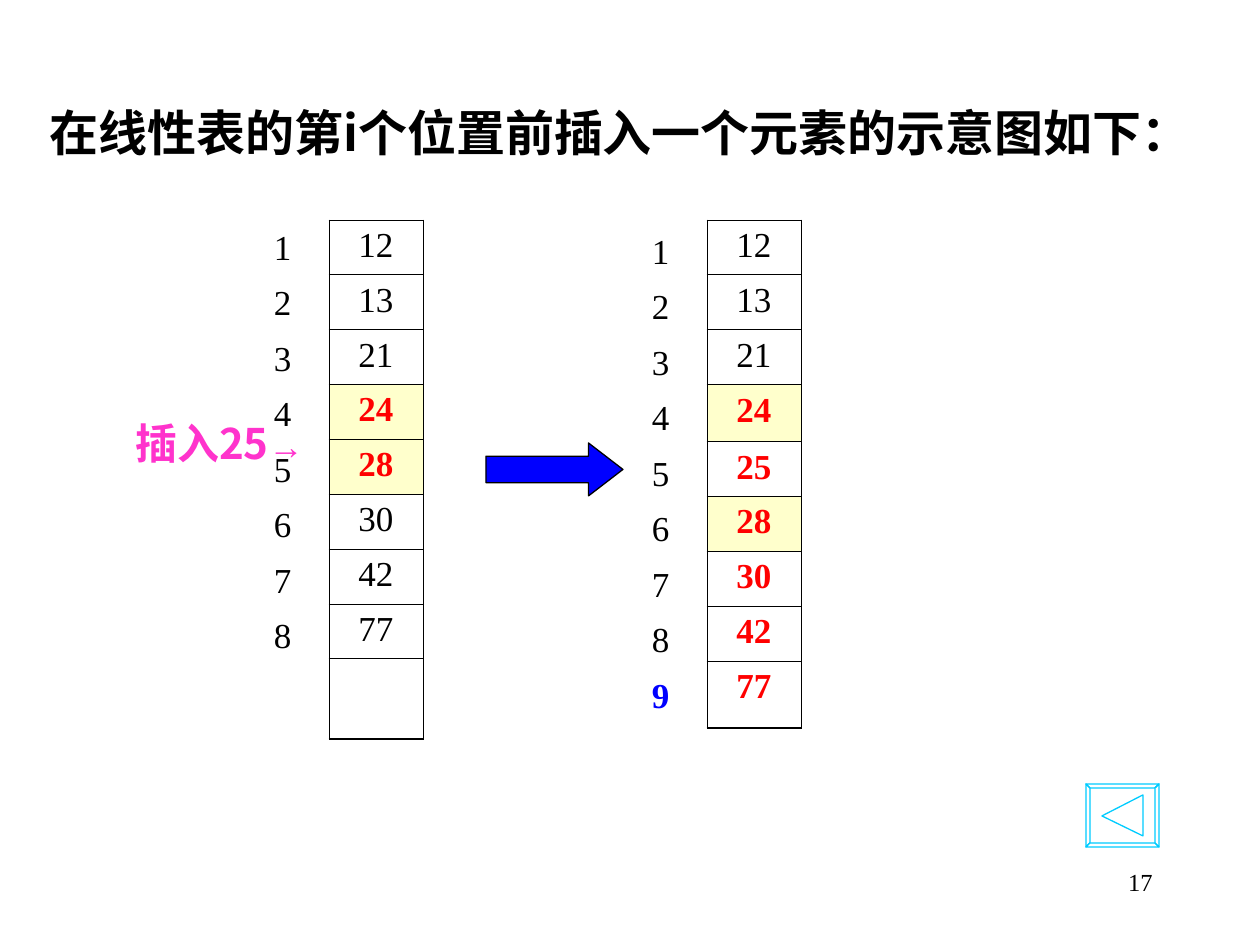
"""Build a slide that shows an element being inserted into a linear list."""
from dataclasses import dataclass

from lxml import etree
from pptx import Presentation
from pptx.dml.color import RGBColor
from pptx.enum.shapes import MSO_SHAPE
from pptx.enum.text import MSO_ANCHOR, PP_ALIGN
from pptx.oxml.ns import qn
from pptx.util import Pt

RIGHT_ARROW = MSO_SHAPE.RIGHT_ARROW
TOP = MSO_ANCHOR.TOP
CENTER, RIGHT = PP_ALIGN.CENTER, PP_ALIGN.RIGHT
EMU_PER_PX = 914400 / 126
PLAIN_TABLE = "{2D5ABB26-0587-4C30-8999-92F81FD0307C}"


@dataclass(frozen=True)
class Theme:
    """Colours, fonts and type sizes."""
    black: str = "000000"
    white: str = "FFFFFF"
    red: str = "FF0000"
    blue: str = "0000FF"
    pink: str = "FF33CC"
    cyan: str = "00CCFF"
    yellow: str = "FFFFCC"
    serif: str = "Times New Roman"
    cjk: str = "Noto Sans CJK SC"
    symbol: str = "Arial"
    title: int = 28
    label: int = 24
    body: int = 20
    number: int = 14
    thin: float = 0.45
    thick: float = 1.08
    outline: float = 0.75


@dataclass(frozen=True)
class Column:
    """A one-column table; marked values are bold, shaded ones have a tint."""
    x: int
    y: int
    width: int
    heights: tuple[int, ...]
    values: tuple[str, ...]
    accent: str
    marked: tuple[str, ...] = ()
    shaded: tuple[str, ...] = ()
    ruled: bool = False


T = Theme()


def px(n: int) -> int:
    """Turn px into EMU."""
    return round(n * EMU_PER_PX)


def rgb(color: str) -> RGBColor:
    """Turn a hex string into a colour."""
    return RGBColor.from_string(color)


def spread(total: int, n: int) -> tuple[int, ...]:
    """Split a length into n nearly equal whole parts."""
    return tuple(total * (i + 1) // n - total * i // n for i in range(n))


def style(font, name: str, size: int, color: str, bold: bool = False) -> None:
    """Format a font, for Latin and East Asian letters alike."""
    font.name, font.size, font.bold = name, Pt(size), bold
    font.color.rgb = rgb(color)
    ea = etree.Element(qn("a:ea"), typeface=name)
    font._element.find(qn("a:latin")).addnext(ea)


def add_border(cell, side: str, width: float) -> None:
    """Rule one side of a cell."""
    ln = etree.SubElement(cell._tc.get_or_add_tcPr(), qn(f"a:ln{side}"), w=str(Pt(width)))
    fill = etree.SubElement(ln, qn("a:solidFill"))
    etree.SubElement(fill, qn("a:srgbClr"), val=T.black)


def add_column(s, col: Column) -> None:
    """Draw a column as a table."""
    rows = len(col.heights)
    tbl = s.shapes.add_table(rows, 1, px(col.x), px(col.y), px(col.width),
                             px(sum(col.heights))).table
    tbl.first_row = tbl.horz_banding = False
    tbl._tbl.tblPr.find(qn("a:tableStyleId")).text = PLAIN_TABLE
    for i, (height, value) in enumerate(zip(col.heights, col.values)):
        tbl.rows[i].height = px(height)
        cell = tbl.cell(i, 0)
        marked = value in col.marked
        p = cell.text_frame.paragraphs[0]
        p.alignment = CENTER
        style(p.font, T.serif, T.body, col.accent if marked else T.black, marked)
        if value:
            p.add_run().text = value
        if col.ruled:
            for side in "LRTB":
                last = side == "B" and i == rows - 1
                add_border(cell, side, T.thick if last else T.thin)
            cell.fill.solid()
            cell.fill.fore_color.rgb = rgb(T.yellow if value in col.shaded else T.white)
        else:
            cell.fill.background()


def add_text(s, x: int, y: int, w: int, h: int, align: PP_ALIGN):
    """Add a wrapping text box and return its paragraph."""
    tf = s.shapes.add_textbox(px(x), px(y), px(w), px(h)).text_frame
    tf.word_wrap = True
    p = tf.paragraphs[0]
    p.alignment = align
    return p


def add_title(s, text: str) -> None:
    """Place and format the title."""
    sp = s.shapes.title
    sp.left, sp.top, sp.width, sp.height = px(26), px(96), px(1188), px(72)
    tf = sp.text_frame
    tf.word_wrap, tf.vertical_anchor = False, TOP
    p = tf.paragraphs[0]
    p.text, p.alignment = text, CENTER
    style(p.font, T.cjk, T.title, T.black, True)


def add_insert_label(s) -> None:
    """Name the element to insert, with an arrow to its place."""
    p = add_text(s, 120, 411, 199, 63, CENTER)
    for text, name, size in (("插入25", T.cjk, T.label), ("→", T.symbol, T.body)):
        r = p.add_run()
        r.text = text
        style(r.font, name, size, T.pink, True)


def add_step_arrow(s) -> None:
    """Point from the list before to the list after."""
    sp = s.shapes.add_shape(RIGHT_ARROW, px(486), px(443), px(137), px(53))
    sp.adjustments[0], sp.adjustments[1] = 0.5, 0.65
    sp.shadow.inherit = False
    sp.fill.solid()
    sp.fill.fore_color.rgb = rgb(T.blue)
    sp.line.color.rgb = rgb(T.black)
    sp.line.width = Pt(T.outline)


def corners(x: int, y: int, w: int, h: int) -> list[tuple[int, int]]:
    """Return the corners of a rectangle, clockwise."""
    return [(x, y), (x + w, y), (x + w, y + h), (x, y + h)]


def add_back_button(s, x: int, y: int, w: int, h: int, bevel: int) -> None:
    """Draw a bevelled outline button with a triangle that points left."""
    outer = corners(x, y, w, h)
    inner = corners(x + bevel, y + bevel, w - 2 * bevel, h - 2 * bevel)
    contours = [[outer[k - 1], outer[k], inner[k], inner[k - 1]] for k in range(4)]
    contours.append([(x + 16, y + 32), (x + 57, y + 11), (x + 57, y + 52)])
    builder = s.shapes.build_freeform(*contours[0][0], scale=EMU_PER_PX)
    for contour in contours:
        builder.move_to(*contour[0])
        builder.add_line_segments(contour[1:], close=True)
    sp = builder.convert_to_shape()
    sp.shadow.inherit = False
    sp.fill.background()
    sp.line.color.rgb = rgb(T.cyan)
    sp.line.width = Pt(T.outline)


def main() -> None:
    """Build and save the slide."""
    prs = Presentation()
    prs.slide_width, prs.slide_height = px(1260), px(945)
    s = prs.slides.add_slide(prs.slide_layouts[5])
    p = add_text(s, 903, 861, 262, 63, RIGHT)
    p.text = "17"
    style(p.font, T.serif, T.number, T.black)
    add_title(s, "在线性表的第i个位置前插入一个元素的示意图如下：")

    before = ("12", "13", "21", "24", "28", "30", "42", "77", "")
    after = before[:4] + ("25",) + before[4:8]
    pair = ("24", "28")
    add_column(s, Column(329, 220, 94, spread(437, 8) + (80,), before, T.red,
                         pair, pair, True))
    add_column(s, Column(707, 220, 94, spread(164, 3) + (57,) + spread(219, 4) + (67,),
                         after, T.red, after[3:], pair, True))
    places = tuple("123456789")
    add_column(s, Column(256, 223, 53, spread(500, 9), places[:8] + ("",), T.blue))
    add_column(s, Column(634, 227, 53, spread(500, 9), places, T.blue, ("9",)))

    add_insert_label(s)
    add_step_arrow(s)
    add_back_button(s, 1086, 784, 73, 63, 4)
    prs.save("out.pptx")


if __name__ == "__main__":
    main()
